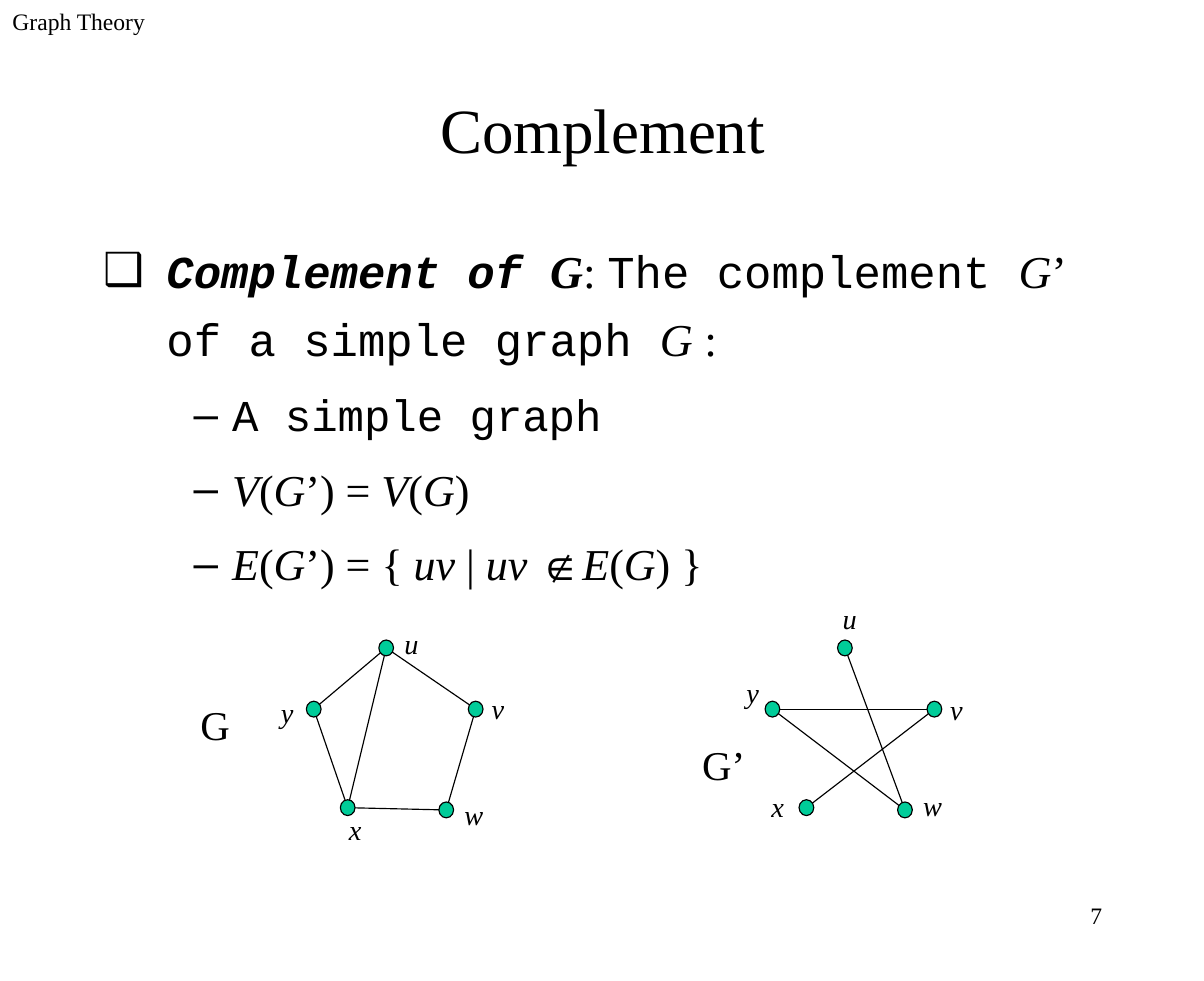
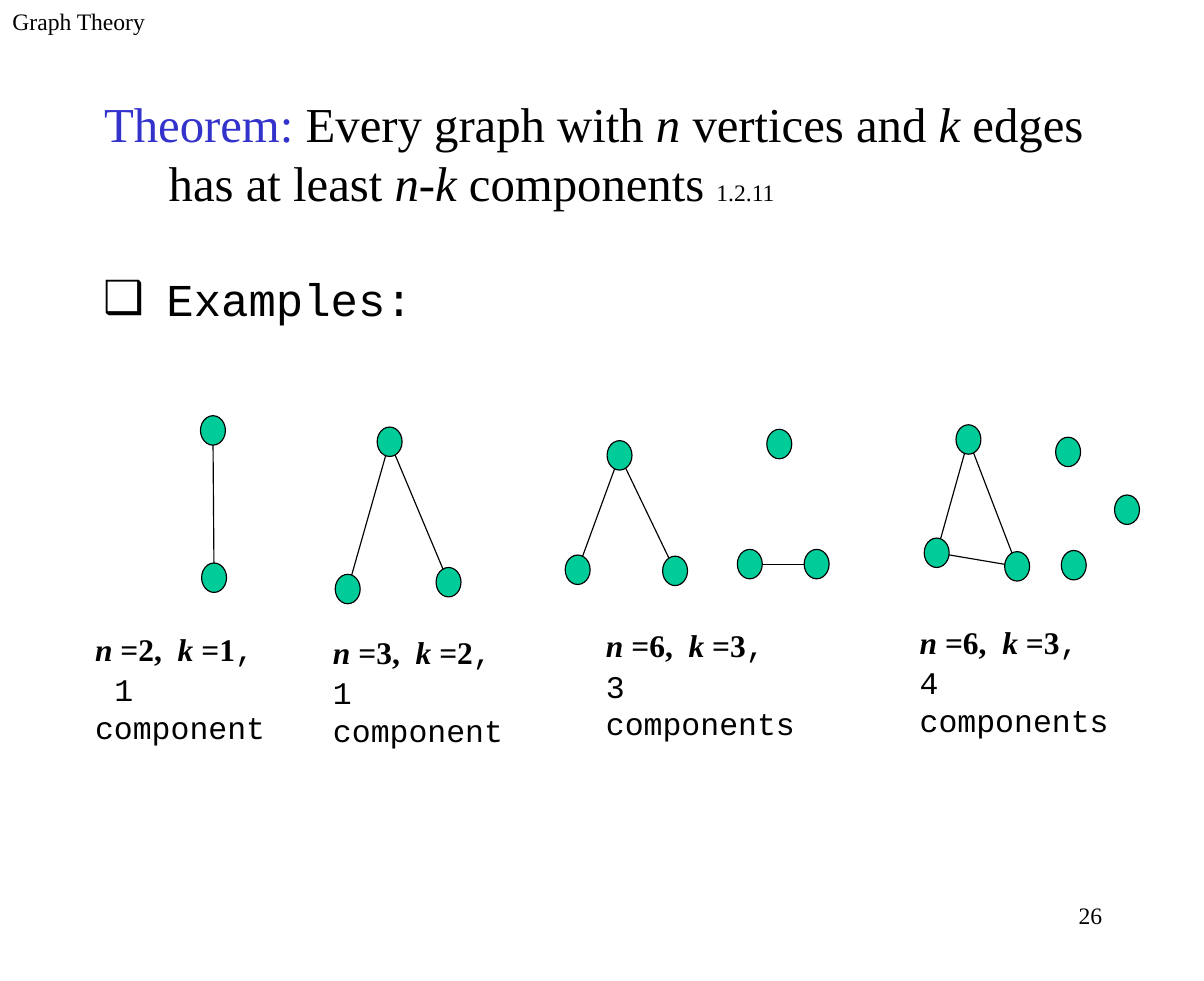
from lxml import etree
from pptx import Presentation
from pptx.dml.color import RGBColor
from pptx.enum.shapes import MSO_CONNECTOR, MSO_SHAPE
from pptx.enum.text import MSO_ANCHOR, PP_ALIGN
from pptx.oxml.ns import qn
from pptx.util import Inches, Pt

BLACK, BLUE, GREEN = "000000", "3333CC", "00CC99"
SERIF, MONO, SANS = "Times New Roman", "Courier New", "Arial"
HEADER = "Graph Theory"
LINE_WIDTH = 0.75

# A run is (text, style). Style letters: b bold, i italic, m Courier New,
# a Arial, c blue, s small.
COMPLEMENT_TITLE = [("Complement", "")]
COMPLEMENT_LEAD = [
    ("Complement of ", "mbi"), ("G", "bi"), (": ", ""),
    ("The complement ", "m"), ("G", "i"), ("’ ", ""),
    ("of a simple graph ", "m"), ("G", "i"), (" :", ""),
]
COMPLEMENT_RULES = [
    [("A simple graph", "m")],
    [("V", "i"), ("(", ""), ("G", "i"), ("’) = ", ""),
     ("V", "i"), ("(", ""), ("G", "i"), (")", "")],
    [("E", "i"), ("(", ""), ("G", "i"), ("’) = { ", ""), ("uv", "i"),
     (" | ", ""), ("uv ", "i"), ("∉", "a"), ("E", "i"), ("(", ""),
     ("G", "i"), (") }", "")],
]
# Vertex centres of G; the complement has the same layout moved right.
PENTAGON = {"u": (3.41, 5.72), "y": (2.77, 6.26), "x": (3.07, 7.13),
            "w": (3.94, 7.15), "v": (4.2, 6.26)}
GRAPHS = [
    {"name": "G", "name_at": (1.66, 6.12), "shift": 0,
     "edges": ["uy", "yx", "xw", "wv", "uv", "ux"],
     "labels": {"u": (3.46, 5.47), "v": (4.23, 6.04), "w": (3.99, 6.98),
                "x": (2.97, 7.11), "y": (2.37, 6.08)}},
    {"name": "G’", "name_at": (6.09, 6.47), "shift": 4.05,
     "edges": ["yw", "xv", "yv", "uw"],
     "labels": {"u": (7.33, 5.25), "v": (8.28, 6.05), "w": (8.04, 6.9),
                "x": (6.7, 6.91), "y": (6.48, 5.9)}},
]

THEOREM_TITLE = [
    ("Theorem:", "c"), (" Every graph with ", ""), ("n", "i"),
    (" vertices and ", ""), ("k", "i"), (" edges has at least ", ""),
    ("n-k", "i"), (" components ", ""), ("1.2.11", "s"),
]
EXAMPLES_LEAD = [("Examples:", "m")]
# Vertex centres, edges as vertex indices, caption box (left, top, width).
EXAMPLES = [
    {"vertices": [(1.88, 3.8), (1.89, 5.1)], "edges": [(0, 1)],
     "n": 2, "k": 1, "count": "1 component", "indent": 0.17,
     "caption_at": (0.73, 5.5, 2)},
    {"vertices": [(3.44, 3.9), (3.07, 5.2), (3.96, 5.14)],
     "edges": [(0, 1), (0, 2)],
     "n": 3, "k": 2, "count": "1 component", "indent": 0,
     "caption_at": (2.83, 5.53, 1.91)},
    {"vertices": [(5.47, 4.02), (5.1, 5.03), (5.96, 5.04),
                  (6.88, 3.92), (6.62, 4.98), (7.21, 4.98)],
     "edges": [(0, 1), (0, 2), (4, 5)],
     "n": 6, "k": 3, "count": "3 components", "indent": 0,
     "caption_at": (5.24, 5.47, 2.04)},
    {"vertices": [(8.55, 3.88), (8.27, 4.88), (8.98, 5),
                  (9.43, 3.99), (9.95, 4.5), (9.48, 4.99)],
     "edges": [(0, 1), (0, 2), (1, 2)],
     "n": 6, "k": 3, "count": "4 components", "indent": 0,
     "caption_at": (8.01, 5.44, 2.14)},
]


def rgb(color):
    return RGBColor.from_string(color)


def add_box(slide, left, top, width, height, anchor=MSO_ANCHOR.TOP):
    tf = slide.shapes.add_textbox(
        Inches(left), Inches(top), Inches(width), Inches(height)).text_frame
    tf.word_wrap = True
    tf.vertical_anchor = anchor
    tf.margin_left = tf.margin_right = Inches(0.11)
    tf.margin_top = tf.margin_bottom = Inches(0.06)
    return tf


def add_runs(p, runs, size):
    for text, style in runs:
        r = p.add_run()
        r.text = text
        font = r.font
        font.name = MONO if "m" in style else SANS if "a" in style else SERIF
        font.size = Pt(15 if "s" in style else size)
        font.bold = "b" in style
        font.italic = "i" in style
        font.color.rgb = rgb(BLUE if "c" in style else BLACK)


def set_indent(p, left, first):
    pPr = p._p.get_or_add_pPr()
    pPr.set("marL", str(Inches(left)))
    pPr.set("indent", str(Inches(first)))
    return pPr


def set_bullet(p, char, left, first):
    pPr = set_indent(p, left, first)
    color = etree.SubElement(pPr, qn("a:buClr"))
    etree.SubElement(color, qn("a:srgbClr"), val=BLACK)
    etree.SubElement(pPr, qn("a:buFont"), typeface=SANS)
    etree.SubElement(pPr, qn("a:buChar"), char=char)


def add_tab_stop(p, position):
    tabs = etree.SubElement(p._p.get_or_add_pPr(), qn("a:tabLst"))
    etree.SubElement(tabs, qn("a:tab"), pos=str(Inches(position)), algn="l")


def add_line_of_text(slide, box, runs, size, align=PP_ALIGN.LEFT,
                     anchor=MSO_ANCHOR.TOP):
    p = add_box(slide, *box, anchor).paragraphs[0]
    p.alignment = align
    add_runs(p, runs, size)
    return p


def add_lead(slide, box, runs):
    """Add a body box that starts with a square-bulleted paragraph."""
    tf = add_box(slide, *box)
    p = tf.paragraphs[0]
    set_bullet(p, "❑", 0.56, -0.56)
    p.line_spacing = 1.25
    add_runs(p, runs, 29)
    return tf


def add_graph(slide, vertices, edges, width, height):
    """Draw edges between vertex centres, then the vertices over them."""
    for a, b in edges:
        ends = [Inches(v) for v in (*vertices[a], *vertices[b])]
        line = slide.shapes.add_connector(MSO_CONNECTOR.STRAIGHT, *ends)
        line.line.color.rgb = rgb(BLACK)
        line.line.width = Pt(LINE_WIDTH)
        etree.SubElement(line._element.spPr, qn("a:effectLst"))
    for x, y in vertices.values():
        sp = slide.shapes.add_shape(
            MSO_SHAPE.OVAL, Inches(x - width / 2), Inches(y - height / 2),
            Inches(width), Inches(height))
        sp.shadow.inherit = False
        sp.fill.solid()
        sp.fill.fore_color.rgb = rgb(GREEN)
        sp.line.color.rgb = rgb(BLACK)
        sp.line.width = Pt(LINE_WIDTH)


def add_slide(prs, number):
    slide = prs.slides.add_slide(prs.slide_layouts[6])
    add_line_of_text(slide, (0, 0, 2.22, 0.58), [(HEADER, "")], 15)
    add_line_of_text(slide, (7.62, 7.89, 2.22, 0.58), [(str(number), "")], 15,
                     PP_ALIGN.RIGHT)
    return slide


def build_complement(prs):
    slide = add_slide(prs, 7)
    add_line_of_text(slide, (0.8, 0.67, 9.04, 0.93), COMPLEMENT_TITLE, 40,
                     PP_ALIGN.CENTER, MSO_ANCHOR.MIDDLE)
    tf = add_lead(slide, (0.8, 1.96, 9.04, 5.74), COMPLEMENT_LEAD)
    for rule in COMPLEMENT_RULES:
        p = tf.add_paragraph()
        p.level = 1
        set_bullet(p, "–", 1.14, -0.34)
        p.line_spacing = 1.1
        p.space_before = Pt(10.5)
        add_runs(p, rule, 28)
    for graph in GRAPHS:
        vertices = {name: (x + graph["shift"], y)
                    for name, (x, y) in PENTAGON.items()}
        add_graph(slide, vertices, graph["edges"], 0.13, 0.14)
        add_line_of_text(slide, (*graph["name_at"], 0.77, 0.54),
                         [(graph["name"], "")], 26)
        for name, at in graph["labels"].items():
            add_line_of_text(slide, (*at, 0.4, 0.41), [(name, "i")], 18)


def build_theorem(prs):
    slide = add_slide(prs, 26)
    p = add_line_of_text(slide, (0.8, 0.77, 9.04, 1.15), THEOREM_TITLE, 31,
                         anchor=MSO_ANCHOR.MIDDLE)
    set_indent(p, 0.58, -0.57)
    add_lead(slide, (0.8, 2.21, 9.04, 0.71), EXAMPLES_LEAD)
    for example in EXAMPLES:
        add_graph(slide, dict(enumerate(example["vertices"])),
                  example["edges"], 0.22, 0.26)
        tf = add_box(slide, *example["caption_at"], 1.13)
        p = tf.paragraphs[0]
        add_tab_stop(p, 0.73)
        add_runs(p, [("n ", "bi"), (f"={example['n']},\t", "b"), ("k ", "bi"),
                     (f"={example['k']}", "b"), (",", "m")], 20)
        p = tf.add_paragraph()
        set_indent(p, 0, example["indent"])
        p.space_before = Pt(1.5)
        add_runs(p, [(example["count"], "m")], 20)


def main():
    prs = Presentation()
    prs.slide_width, prs.slide_height = Inches(10.63), Inches(8.66)
    build_complement(prs)
    build_theorem(prs)
    prs.save("out.pptx")


if __name__ == "__main__":
    main()
